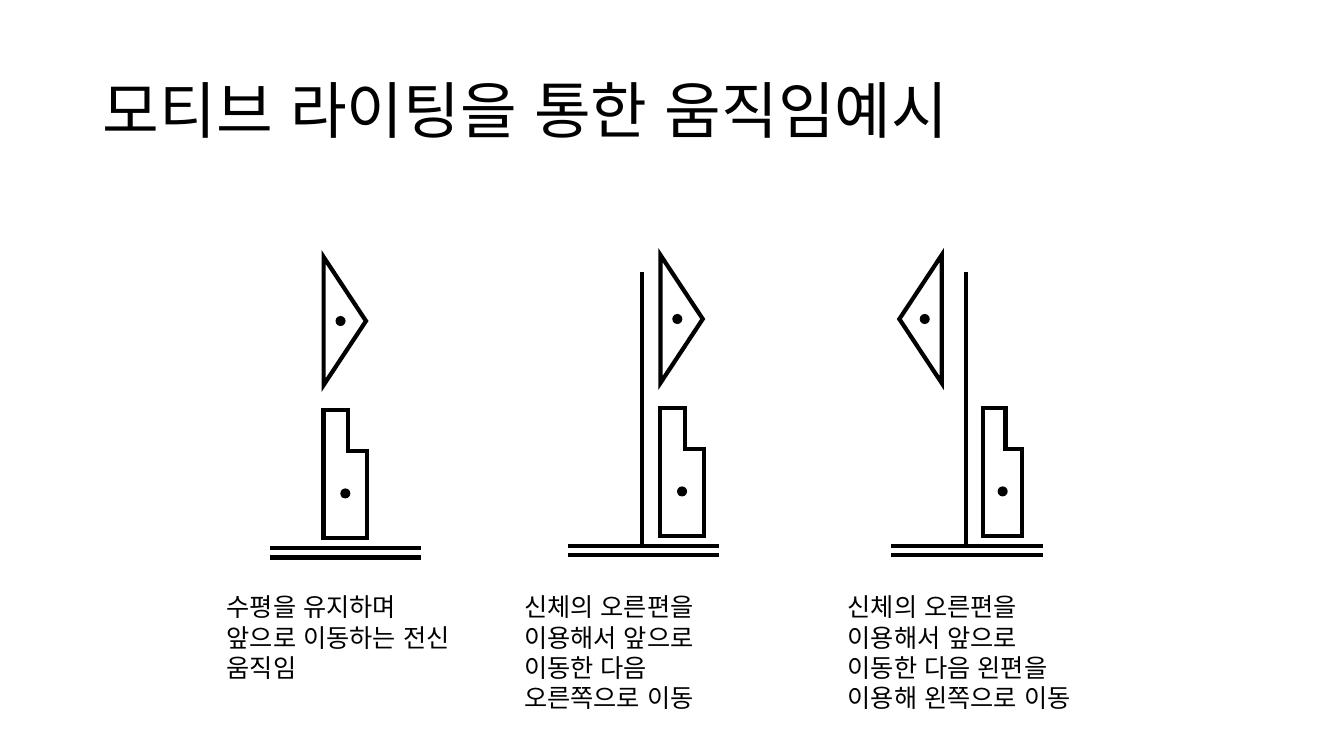
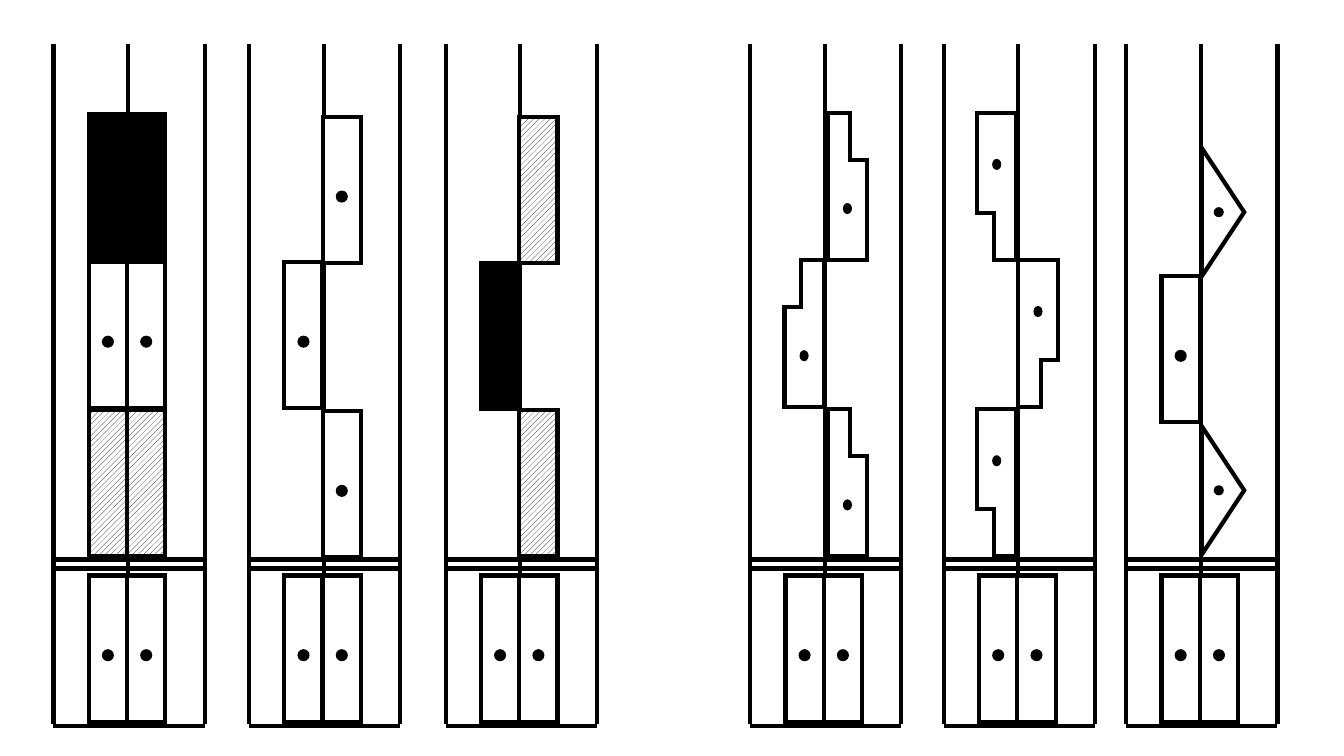
from lxml.etree import SubElement
from pptx import Presentation
from pptx.dml.color import RGBColor
from pptx.enum.dml import MSO_PATTERN
from pptx.enum.lang import MSO_LANGUAGE_ID
from pptx.enum.shapes import MSO_CONNECTOR, MSO_SHAPE
from pptx.enum.text import MSO_ANCHOR, MSO_AUTO_SIZE, PP_ALIGN
from pptx.oxml.ns import qn
from pptx.util import Inches, Pt

BLACK = RGBColor(0x00, 0x00, 0x00)
WHITE = RGBColor(0xFF, 0xFF, 0xFF)
FONT = "Noto Sans CJK KR"
STROKE = Pt(3)

TITLE_LAYOUT, BLANK_LAYOUT = 5, 6

# Examples on the first slide
GROUND_WIDTH = 1.5
GROUND_GAP = 0.09
AXIS = 0.74
STEP_HEIGHT = 1.27
EXAMPLES = [
    # left, ground, has a post, (step offset, width), (triangle offset, side), caption
    (2.68, 5.44, False, (0.53, 0.43), (0.53, "right"),
     "수평을 유지하며 앞으로 이동하는 전신 움직임"),
    (5.63, 5.42, True, (0.92, 0.43), (0.92, "right"),
     "신체의 오른편을 이용해서 앞으로 이동한 다음 오른쪽으로 이동"),
    (8.84, 5.42, True, (0.91, 0.39), (0.08, "left"),
     "신체의 오른편을 이용해서 앞으로 이동한 다음 왼편을 이용해 왼쪽으로 이동"),
]

# Staffs on the second slide
STAFF_TOP, STAFF_BOTTOM = 0.44, 7.18
BAR_LINES = (5.55, 5.64, 7.2)
START_TOP = 5.71
BLOCK_WIDTH, BLOCK_HEIGHT = 0.38, 1.45
LEFT_BLOCK, RIGHT_BLOCK = 0.35, 0.73
TRIANGLE_LEFT = 0.75
STAFF_STEP = {"width": 0.39, "height": 1.46, "dot_size": (0.09, 0.11)}


def format_text(run, size):
    font = run.font
    font.name, font.size = FONT, Pt(size)
    font.color.rgb = BLACK
    font.language_id = MSO_LANGUAGE_ID.KOREAN
    SubElement(run._r.get_or_add_rPr(), qn("a:ea"), typeface=FONT)


def write_text(shape, text, size, anchor=MSO_ANCHOR.TOP, line_spacing=None):
    frame = shape.text_frame
    frame.word_wrap = True
    frame.auto_size = MSO_AUTO_SIZE.NONE
    frame.vertical_anchor = anchor
    paragraph = frame.paragraphs[0]
    paragraph.alignment = PP_ALIGN.LEFT
    paragraph.line_spacing = line_spacing
    run = paragraph.add_run()
    run.text = text
    format_text(run, size)


def add_line(slide, start, end):
    line = slide.shapes.add_connector(
        MSO_CONNECTOR.STRAIGHT, *map(Inches, start + end))
    line.line.color.rgb = BLACK
    line.line.width = STROKE
    SubElement(line._element.spPr, qn("a:effectLst"))


def outline(shape, fill=WHITE):
    """Give a shape a sharp-cornered black outline and a fill; None hatches it."""
    shape.shadow.inherit = False
    if fill is None:
        shape.fill.patterned()
        shape.fill.pattern = MSO_PATTERN.WIDE_UPWARD_DIAGONAL
        shape.fill.fore_color.rgb = BLACK
        shape.fill.back_color.rgb = WHITE
    else:
        shape.fill.solid()
        shape.fill.fore_color.rgb = fill
    shape.line.color.rgb = BLACK
    shape.line.width = STROKE
    SubElement(shape.line._get_or_add_ln(), qn("a:miter"), lim="800000")


def add_dot(slide, center_x, center_y, width=0.1, height=0.1):
    dot = slide.shapes.add_shape(
        MSO_SHAPE.OVAL, Inches(center_x - width / 2),
        Inches(center_y - height / 2), Inches(width), Inches(height))
    dot.shadow.inherit = False
    dot.fill.solid()
    dot.fill.fore_color.rgb = BLACK
    dot.line.fill.background()


def add_block(slide, left, top, fill=WHITE):
    block = slide.shapes.add_shape(
        MSO_SHAPE.RECTANGLE, Inches(left), Inches(top),
        Inches(BLOCK_WIDTH), Inches(BLOCK_HEIGHT))
    outline(block, fill)
    if fill == WHITE:
        add_dot(slide, left + BLOCK_WIDTH / 2, top + 0.79, 0.12, 0.12)


def add_triangle(slide, left, top, side="right"):
    """Draw an upright triangle whose tip points to the given side."""
    width, height = 0.42, 1.27
    center_x, center_y = left + width / 2, top + height / 2
    triangle = slide.shapes.add_shape(
        MSO_SHAPE.ISOSCELES_TRIANGLE, Inches(center_x - height / 2),
        Inches(center_y - width / 2), Inches(height), Inches(width))
    triangle.rotation = 90 if side == "right" else 270
    outline(triangle)
    add_dot(slide, left + width * (0.4 if side == "right" else 0.6), center_y)


def add_step(slide, left, top, width, height, side="right", notch="top",
             dot_size=(0.1, 0.1)):
    """Draw a block with a notch cut from its outer top or bottom corner."""
    def place(across, down):
        x = across if side == "right" else 1 - across
        y = down if notch == "top" else 1 - down
        return left + width * x, top + height * y

    corners = [(0.57, 0), (0, 0), (0, 1), (1, 1), (1, 0.32), (0.57, 0.32)]
    points = [tuple(map(Inches, place(*corner))) for corner in corners]
    builder = slide.shapes.build_freeform(*points[0])
    builder.add_line_segments(points[1:], close=True)
    outline(builder.convert_to_shape())
    add_dot(slide, *place(0.5, 0.65), *dot_size)


def add_example(slide, left, ground, has_post, step, triangle, caption):
    for y in (ground, ground + GROUND_GAP):
        add_line(slide, (left, y), (left + GROUND_WIDTH, y))
    if has_post:
        add_line(slide, (left + AXIS, ground), (left + AXIS, 2.7))
    step_offset, step_width = step
    add_step(slide, left + step_offset, ground - 1.37, step_width, STEP_HEIGHT)
    triangle_offset, side = triangle
    add_triangle(slide, left + triangle_offset, ground - 2.89, side)
    text_box = slide.shapes.add_textbox(
        Inches(left - 0.53), Inches(5.82), Inches(2.56), Inches(1.31))
    write_text(text_box, caption, 18)


def add_staff(slide, left):
    """Draw the lines of a staff and its pair of starting blocks."""
    for y in BAR_LINES:
        add_line(slide, (left, y), (left + GROUND_WIDTH, y))
    for offset in (0, AXIS, GROUND_WIDTH):
        x = left + offset
        add_line(slide, (x, STAFF_BOTTOM), (x, STAFF_TOP))
    for offset in (LEFT_BLOCK, RIGHT_BLOCK):
        add_block(slide, left + offset, START_TOP)


def add_block_staff(slide, left, blocks):
    add_staff(slide, left)
    for offset, top, fill in blocks:
        add_block(slide, left + offset, top, fill)


def add_step_staff(slide, left, first_side, notch, offsets):
    """Stack three steps upwards on alternating sides of the axis."""
    add_staff(slide, left)
    second_side = "left" if first_side == "right" else "right"
    for side, top in zip((first_side, second_side, first_side), (4.06, 2.58, 1.12)):
        add_step(slide, left + offsets[side], top, side=side, notch=notch,
                 **STAFF_STEP)


def build_examples(presentation):
    slide = presentation.slides.add_slide(presentation.slide_layouts[TITLE_LAYOUT])
    title = slide.shapes.title
    title.left, title.top = Inches(0.92), Inches(0.4)
    title.width, title.height = Inches(11.5), Inches(1.45)
    write_text(title, "모티브 라이팅을 통한 움직임예시", 44,
               anchor=MSO_ANCHOR.MIDDLE, line_spacing=0.9)
    for example in EXAMPLES:
        add_example(slide, *example)


def build_staffs(presentation):
    slide = presentation.slides.add_slide(presentation.slide_layouts[BLANK_LAYOUT])
    hatch = None
    rows = ((4.07, hatch), (2.6, WHITE), (1.13, BLACK))
    add_block_staff(slide, 0.53, [
        (offset, top, fill) for top, fill in rows
        for offset in (LEFT_BLOCK, RIGHT_BLOCK)])
    add_block_staff(slide, 2.47, [
        (RIGHT_BLOCK, 4.08, WHITE), (LEFT_BLOCK, 2.6, WHITE),
        (RIGHT_BLOCK, 1.16, WHITE)])
    add_block_staff(slide, 4.42, [
        (RIGHT_BLOCK, 4.07, hatch), (LEFT_BLOCK, 2.61, BLACK),
        (RIGHT_BLOCK, 1.16, hatch)])

    add_step_staff(slide, 7.44, "right", "top", {"left": 0.34, "right": 0.77})
    add_step_staff(slide, 9.36, "left", "bottom", {"left": 0.33, "right": 0.74})

    triangle_staff = 11.17
    add_block_staff(slide, triangle_staff, [(LEFT_BLOCK, 2.74, WHITE)])
    for top in (4.23, 1.47):
        add_triangle(slide, triangle_staff + TRIANGLE_LEFT, top)


def main():
    presentation = Presentation()
    presentation.slide_width = Inches(13.33)
    presentation.slide_height = Inches(7.5)
    build_examples(presentation)
    build_staffs(presentation)
    presentation.save("out.pptx")


if __name__ == "__main__":
    main()
